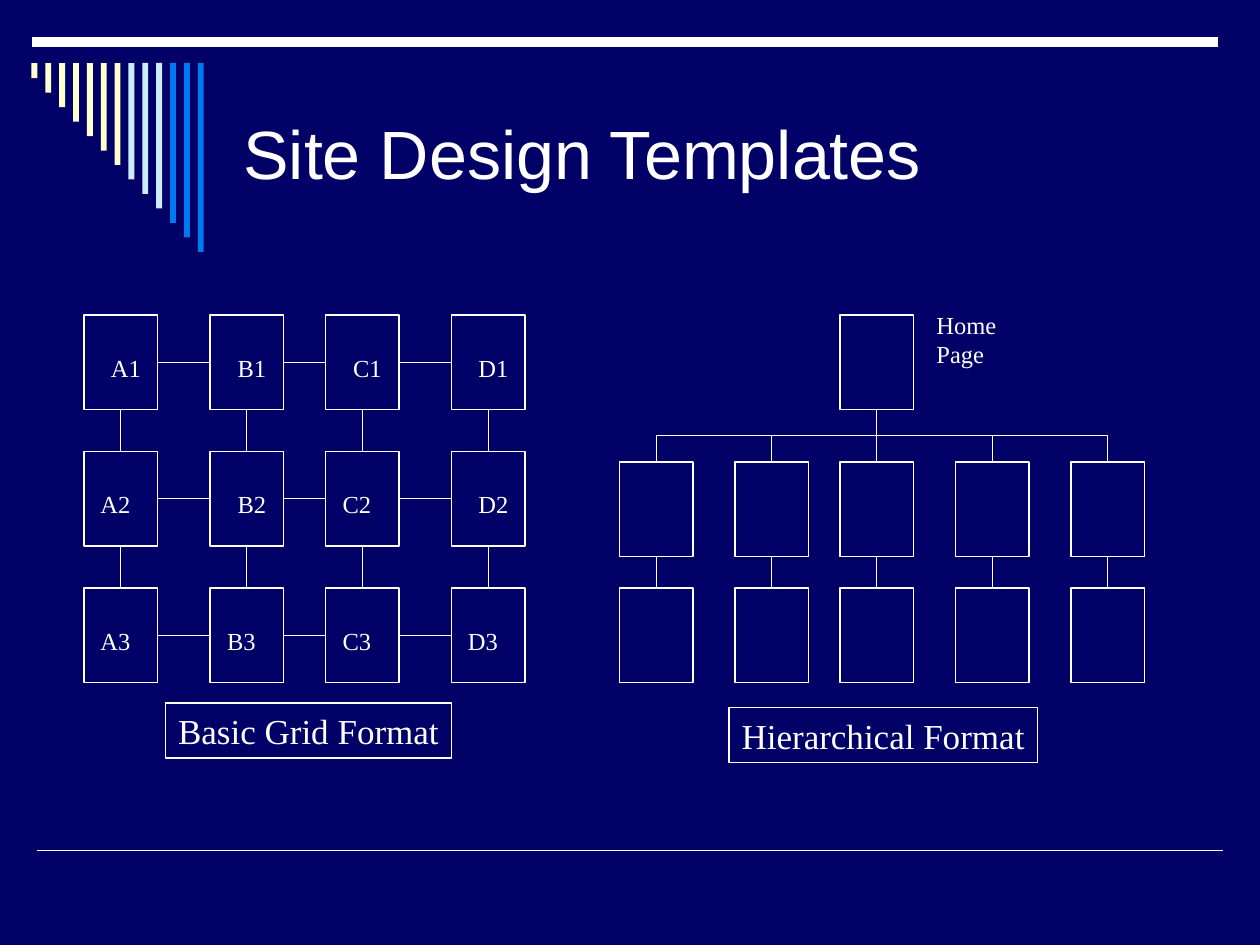
import pptx
import pptx.util
import pptx.dml.color
import pptx.enum.shapes
import pptx.enum.text
import pptx.oxml
import pptx.oxml.ns

Pt = pptx.util.Pt
SHAPE = pptx.enum.shapes.MSO_SHAPE
LINK = pptx.enum.shapes.MSO_CONNECTOR
ALIGN = pptx.enum.text.PP_ALIGN

THEME = {
    "background": "000066", "ink": "FFFFFF",
    "stripes": [("FFFFCC", 7), ("CCECFF", 3), ("0078F0", 3)],
    "title_font": "Arial", "body_font": "Times New Roman",
    "title": 39, "caption": 20, "label": 14,
    "thin": 0.75, "rule": 1, "bar": 6,
}

TITLE = ("Site Design Templates", 132, 36, 552, 102)
CAPTIONS = [
    ("Basic Grid Format", 94.5, 401.7, 163.6, 31.5),
    ("Hierarchical Format", 416.5, 404.3, 176.4, 31.5),
]
HOME_LABEL = ("Home\nPage", 528, 173.5, 54, 41)

BOX_W, BOX_H = 42, 54
GRID_COLUMNS = {"A": 48, "B": 120, "C": 186, "D": 258}
GRID_ROWS = {"1": 180, "2": 258, "3": 336}
INDENTED = {"A1", "B1", "C1", "D1", "B2", "D2"}
HOME = (480, 180)
TREE_COLUMNS = [354, 420, 480, 546, 612]
TREE_ROWS = [264, 336]

prs = pptx.Presentation()
prs.slide_width, prs.slide_height = Pt(720), Pt(540)
s = prs.slides.add_slide(prs.slide_layouts[6])


def rgb(value):
    return pptx.dml.color.RGBColor.from_string(value)


s.background.fill.solid()
s.background.fill.fore_color.rgb = rgb(THEME["background"])


def add_box(kind, x, y, w, h, fill=None):
    """Add a filled shape without outline, or an outlined one without fill."""
    sp = s.shapes.add_shape(kind, Pt(x), Pt(y), Pt(w), Pt(h))
    sp.shadow.inherit = False
    if fill:
        sp.fill.solid()
        sp.fill.fore_color.rgb = rgb(fill)
        sp.line.fill.background()
    else:
        sp.fill.background()
        sp.line.color.rgb = rgb(THEME["ink"])
        sp.line.width = Pt(THEME["thin"])
    return sp


def write(sp, text, size, font=THEME["body_font"], align=ALIGN.LEFT, wrap=False):
    tf = sp.text_frame
    tf.text = text
    tf.word_wrap = wrap
    tf.vertical_anchor = pptx.enum.text.MSO_ANCHOR.MIDDLE
    for p in tf.paragraphs:
        p.alignment = align
        for r in p.runs:
            r.font.size = Pt(size)
            r.font.name = font
            r.font.color.rgb = rgb(THEME["ink"])


def add_text(text, x, y, w, h, size, **style):
    write(s.shapes.add_textbox(Pt(x), Pt(y), Pt(w), Pt(h)), text, size, **style)


def add_line(x1, y1, x2, y2, width=THEME["thin"], kind=LINK.STRAIGHT):
    line = s.shapes.add_connector(kind, Pt(x1), Pt(y1), Pt(x2), Pt(y2))
    line.line.color.rgb = rgb(THEME["ink"])
    line.line.width = Pt(width)
    line.element.spPr.append(pptx.oxml.parse_xml(
        f'<a:effectLst {pptx.oxml.ns.nsdecls("a")}/>'))
    return line


def add_branch(x1, y1, x2, y2):
    """Add an elbow that leaves downwards: a sideways elbow, turned about its centre."""
    if x1 == x2:
        add_line(x1, y1, x2, y2)
        return
    mid_x, mid_y = (x1 + x2) / 2, (y1 + y2) / 2
    side = 1 if x2 < x1 else -1
    reach, half_span = side * (y2 - y1) / 2, abs(x2 - x1) / 2
    elbow = add_line(mid_x - reach, mid_y - half_span,
                     mid_x + reach, mid_y + half_span, kind=LINK.ELBOW)
    degrees = 90 if side == 1 else 270
    xfrm = elbow.element.spPr.find(pptx.oxml.ns.qn("a:xfrm"))
    xfrm.set("rot", str(degrees * 60000))


def add_frame():
    add_line(21, 486, 699, 486, THEME["rule"])
    add_line(18, 24, 696, 24, THEME["bar"])
    colors = [color for color, count in THEME["stripes"] for _ in range(count)]
    for i, color in enumerate(colors):
        add_box(SHAPE.RECTANGLE, 18 + 7.92 * i, 36, 3.4, 8.64 + 8.28 * i, color)


def add_grid():
    columns, rows = list(GRID_COLUMNS.values()), list(GRID_ROWS.values())
    for letter, x in GRID_COLUMNS.items():
        for number, y in GRID_ROWS.items():
            name = letter + number
            add_box(SHAPE.FLOWCHART_PROCESS, x, y, BOX_W, BOX_H)
            indent = 8.3 if name in INDENTED else 2.3
            add_text(name, x + indent, y + 17.8, 31.4, 24.5,
                     THEME["label"], align=ALIGN.CENTER)
    for x in columns:
        for top, below in zip(rows, rows[1:]):
            add_line(x + BOX_W / 2, top + BOX_H, x + BOX_W / 2, below)
    for y in rows:
        for left, right in zip(columns, columns[1:]):
            add_line(left + BOX_W, y + BOX_H / 2, right, y + BOX_H / 2)


def add_tree():
    home_x, home_y = HOME
    first, second = TREE_ROWS
    add_box(SHAPE.FLOWCHART_PROCESS, home_x, home_y, BOX_W, BOX_H)
    for x in TREE_COLUMNS:
        middle = x + BOX_W / 2
        for y in TREE_ROWS:
            add_box(SHAPE.FLOWCHART_PROCESS, x, y, BOX_W, BOX_H)
        add_line(middle, first + BOX_H, middle, second)
        add_branch(home_x + BOX_W / 2, home_y + BOX_H, middle, first)
    add_text(*HOME_LABEL, THEME["label"], wrap=True)


add_frame()
add_text(*TITLE, THEME["title"], font=THEME["title_font"], wrap=True)
add_grid()
add_tree()
for caption, *place in CAPTIONS:
    write(add_box(SHAPE.RECTANGLE, *place), caption, THEME["caption"],
          align=ALIGN.CENTER)

prs.save("out.pptx")
